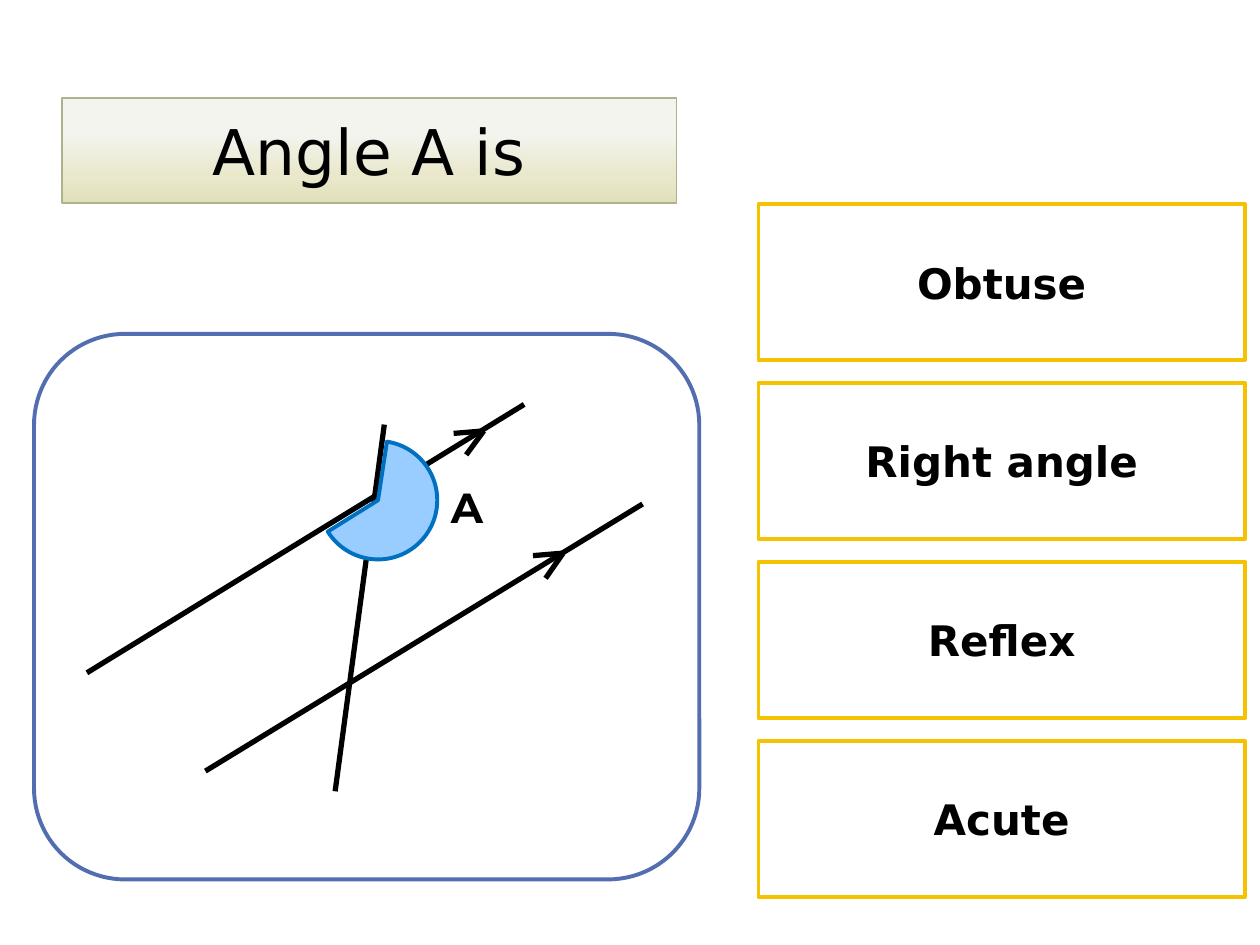
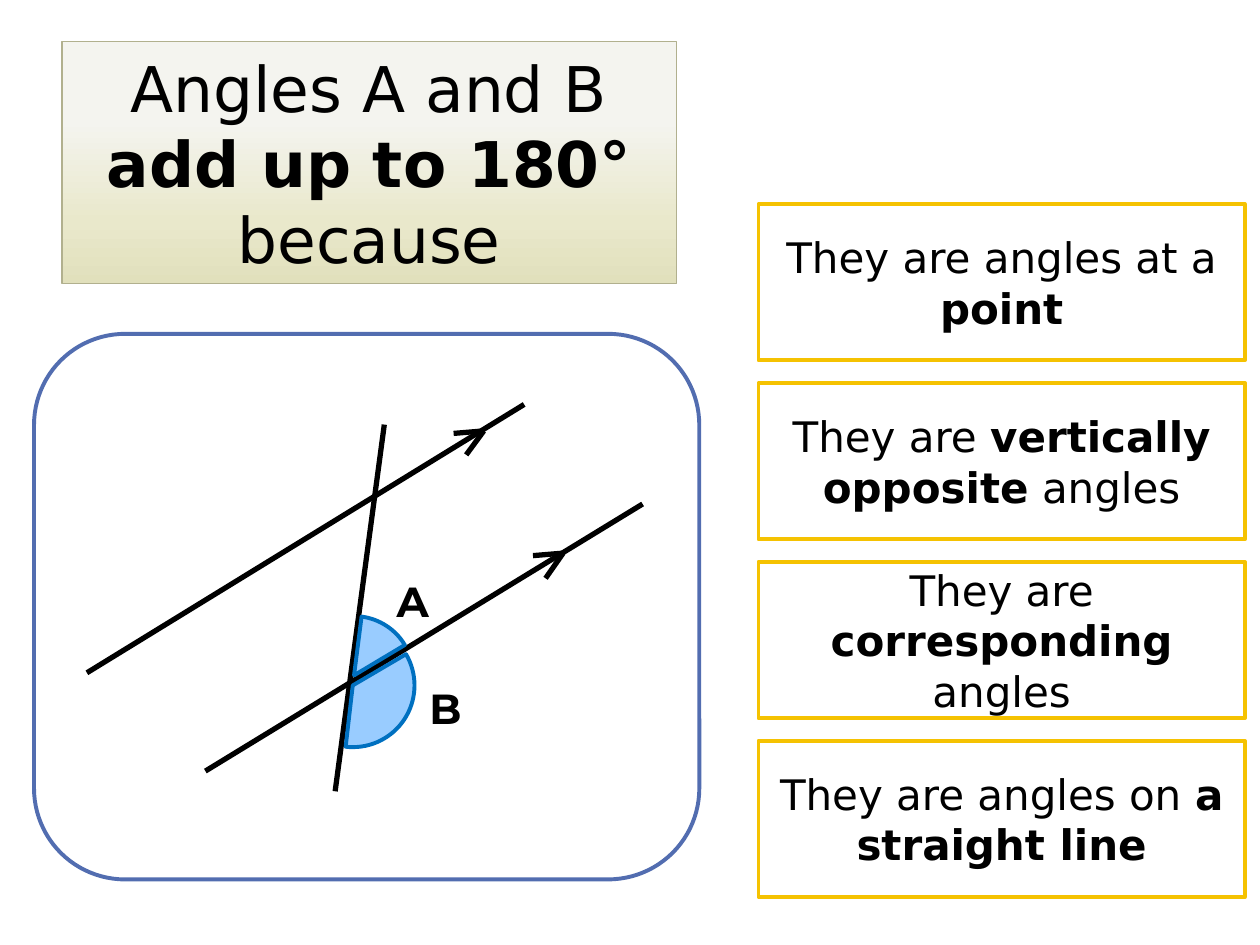
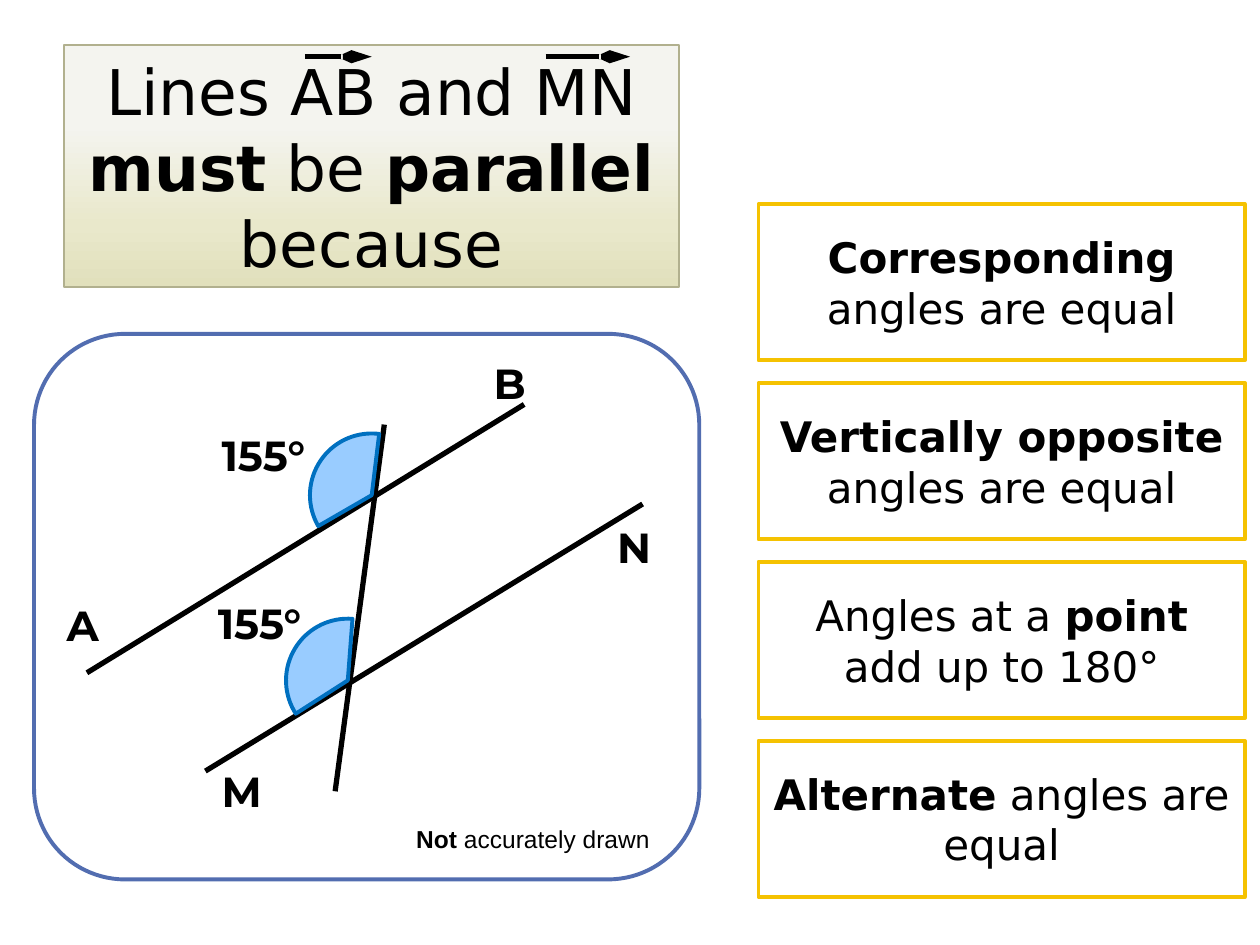
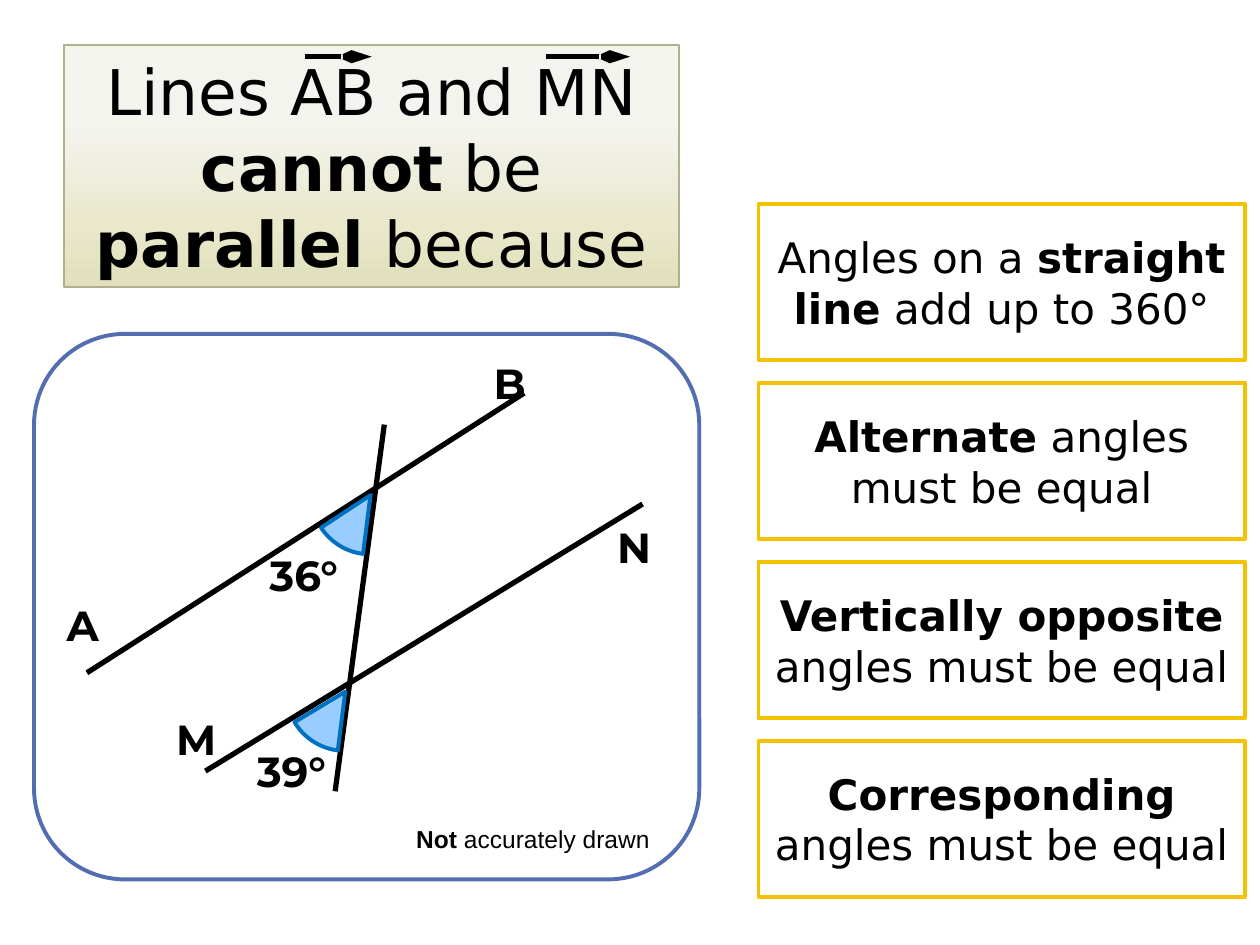
"""Builds four quiz slides about angles on lines crossed by a transversal."""
from copy import deepcopy

from lxml import etree
from pptx import Presentation
from pptx.dml.color import RGBColor
from pptx.enum.shapes import MSO_CONNECTOR, MSO_SHAPE
from pptx.enum.text import MSO_ANCHOR, MSO_AUTO_SIZE, PP_ALIGN
from pptx.oxml.ns import qn
from pptx.util import Pt

PX = 9144
STRAIGHT = MSO_CONNECTOR.STRAIGHT
RECT, ROUNDED, PIE = MSO_SHAPE.RECTANGLE, MSO_SHAPE.ROUNDED_RECTANGLE, MSO_SHAPE.PIE
CENTER, LEFT = PP_ALIGN.CENTER, PP_ALIGN.LEFT
MIDDLE = MSO_ANCHOR.MIDDLE
GROW, FIXED = MSO_AUTO_SIZE.SHAPE_TO_FIT_TEXT, MSO_AUTO_SIZE.NONE

COLORS = {
    "text": "000000", "white": "FFFFFF", "panel": "526DB0", "answer": "F5C201",
    "angle": "99CCFF", "angle_line": "0070C0", "title_line": "B1B08E",
    "low": "E1E0BC", "mid": "E9E8CB", "high": "F4F4EF",
}
RGB = {name: RGBColor.from_string(value) for name, value in COLORS.items()}
TITLE_STOPS = [(0, "low"), (0.26, "mid"), (0.67, "high")]

LOWER = (163, 612, 510, 400)
TRANSVERSAL = (305, 337, 266, 628)
PARALLELS = [(69, 534, 416, 321), LOWER, TRANSVERSAL]
CROSSING = [(69, 534, 416, 312), LOWER, TRANSVERSAL]
CHEVRONS = [(360, 344, 384, 342), (384, 342, 370, 361),
            (423, 441, 447, 439), (447, 439, 433, 459)]
VECTORS = [(242, 45, 295, 45), (433, 45, 500, 45)]
END_LABELS = [("A", 43, 471, 51), ("B", 382, 279, 51), ("N", 480, 409, 51)]

SLIDES = [
    {
        "title": "Angle A is", "title_box": (49, 84, 488, 71),
        "lines": PARALLELS + CHEVRONS, "vectors": [], "note": "",
        "angles": [(253, 350, 94, 92.7, 111.56, 33.19)],
        "labels": [("A", 348, 377, 39)],
        "answers": ["*Obtuse*", "*Right angle*", "*Reflex*", "*Acute*"],
    },
    {
        "title": "Angles A and B *add up to 180°* because",
        "title_box": (49, 33, 488, 192),
        "lines": PARALLELS + CHEVRONS, "vectors": [], "note": "",
        "angles": [(231, 495, 98, 329.6, 0, 76.2),
                   (234, 489, 94, 273.8, 2.11, 33.19)],
        "labels": [("A", 305, 452, 39), ("B", 331, 537, 39)],
        "answers": ["They are angles at a *point*",
                    "They are *vertically opposite* angles",
                    "They are *corresponding* angles",
                    "They are angles on *a straight line*"],
    },
    {
        "title": "Lines AB and MN *must* be *parallel* because",
        "title_box": (51, 36, 488, 192),
        "lines": PARALLELS, "vectors": VECTORS, "note": "*Not* accurately drawn",
        "angles": [(246, 344, 98, 150, 0, 76.2), (227, 491, 98, 147.4, 0, 76.2)],
        "labels": END_LABELS + [("M", 166, 603, 51), ("155°", 166, 336, 102),
                                ("155°", 163, 469, 102)],
        "answers": ["*Corresponding* angles are equal",
                    "*Vertically opposite* angles are equal",
                    "Angles at a *point* add up to 180°",
                    "*Alternate* angles are equal"],
    },
    {
        "title": "Lines AB and MN *cannot* be *parallel* because",
        "title_box": (51, 36, 488, 192),
        "lines": CROSSING, "vectors": VECTORS, "note": "*Not* accurately drawn",
        "angles": [(247, 346, 94, 93.7, 2.11, 31.79),
                   (227, 502, 94, 93.7, 2.11, 33.19)],
        "labels": END_LABELS + [("M", 130, 561, 51), ("36°", 204, 431, 102),
                                ("39°", 194, 587, 102)],
        "answers": ["Angles on a *straight line* add up to 360°",
                    "*Alternate* angles must be equal",
                    "*Vertically opposite* angles must be equal",
                    "*Corresponding* angles must be equal"],
    },
]


def write(sp, text, size, font, align=CENTER, fit=GROW):
    """Fill a shape with text whose starred parts are bold."""
    tf = sp.text_frame
    tf.word_wrap = True
    tf.auto_size = fit
    p = tf.paragraphs[0]
    p.alignment = align
    for i, part in enumerate(text.split("*")):
        if part:
            r = p.add_run()
            r.text = part
            r.font.size = Pt(size)
            r.font.name = font
            r.font.bold = i % 2 == 1
            r.font.color.rgb = RGB["text"]


def add_box(s, kind, box, fill, line):
    """Add a filled, outlined shape without a shadow."""
    sp = s.shapes.add_shape(kind, *[v * PX for v in box])
    sp.shadow.inherit = False
    sp.fill.solid()
    sp.fill.fore_color.rgb = RGB[fill]
    sp.line.color.rgb = RGB[line]
    sp.line.width = Pt(2.25)
    return sp


prs = Presentation()
prs.slide_width, prs.slide_height = 1000 * PX, 750 * PX

for data in SLIDES:
    s = prs.slides.add_slide(prs.slide_layouts[5])

    title = s.shapes.title
    title.left, title.top, title.width, title.height = [v * PX for v in data["title_box"]]
    title.fill.gradient()
    title.fill.gradient_angle = 90
    stops = title.fill.gradient_stops
    gs_list = title._element.spPr.find(".//" + qn("a:gsLst"))
    gs_list.append(deepcopy(gs_list[0]))
    for stop, (position, color) in zip(stops, TITLE_STOPS):
        stop.position = position
        stop.color.rgb = RGB[color]
    title.line.color.rgb = RGB["title_line"]
    title.line.width = Pt(1)
    title.text_frame.vertical_anchor = MIDDLE
    write(title, data["title"], 36, "DejaVu Sans")

    add_box(s, ROUNDED, (27, 265, 528, 433), "white", "panel")

    for points in data["lines"] + data["vectors"]:
        line = s.shapes.add_connector(STRAIGHT, *[v * PX for v in points])
        line.line.color.rgb = RGB["text"]
        line.line.width = Pt(3)
        if points in data["vectors"]:
            etree.SubElement(line.line._get_or_add_ln(), qn("a:tailEnd"),
                             type="arrow", w="sm", len="lg")
        etree.SubElement(line._element.spPr, qn("a:effectLst"))

    for x, y, size, rotation, start, end in data["angles"]:
        pie = add_box(s, PIE, (x, y, size, size), "angle", "angle_line")
        pie.rotation = rotation
        pie.adjustments[0], pie.adjustments[1] = start, end

    for text, x, y, width in data["labels"]:
        label = s.shapes.add_textbox(x * PX, y * PX, width * PX, 50 * PX)
        write(label, f"*{text}*", 24, "Montserrat", LEFT)

    if data["note"]:
        note = s.shapes.add_textbox(319 * PX, 649 * PX, 208 * PX, 34 * PX)
        write(note, data["note"], 14, "Arial")

    for i, text in enumerate(data["answers"]):
        answer = add_box(s, RECT, (602, 162 + 142 * i, 386, 124), "white", "answer")
        answer.text_frame.vertical_anchor = MIDDLE
        write(answer, text, 24, "DejaVu Sans", fit=FIXED)

prs.save("out.pptx")
